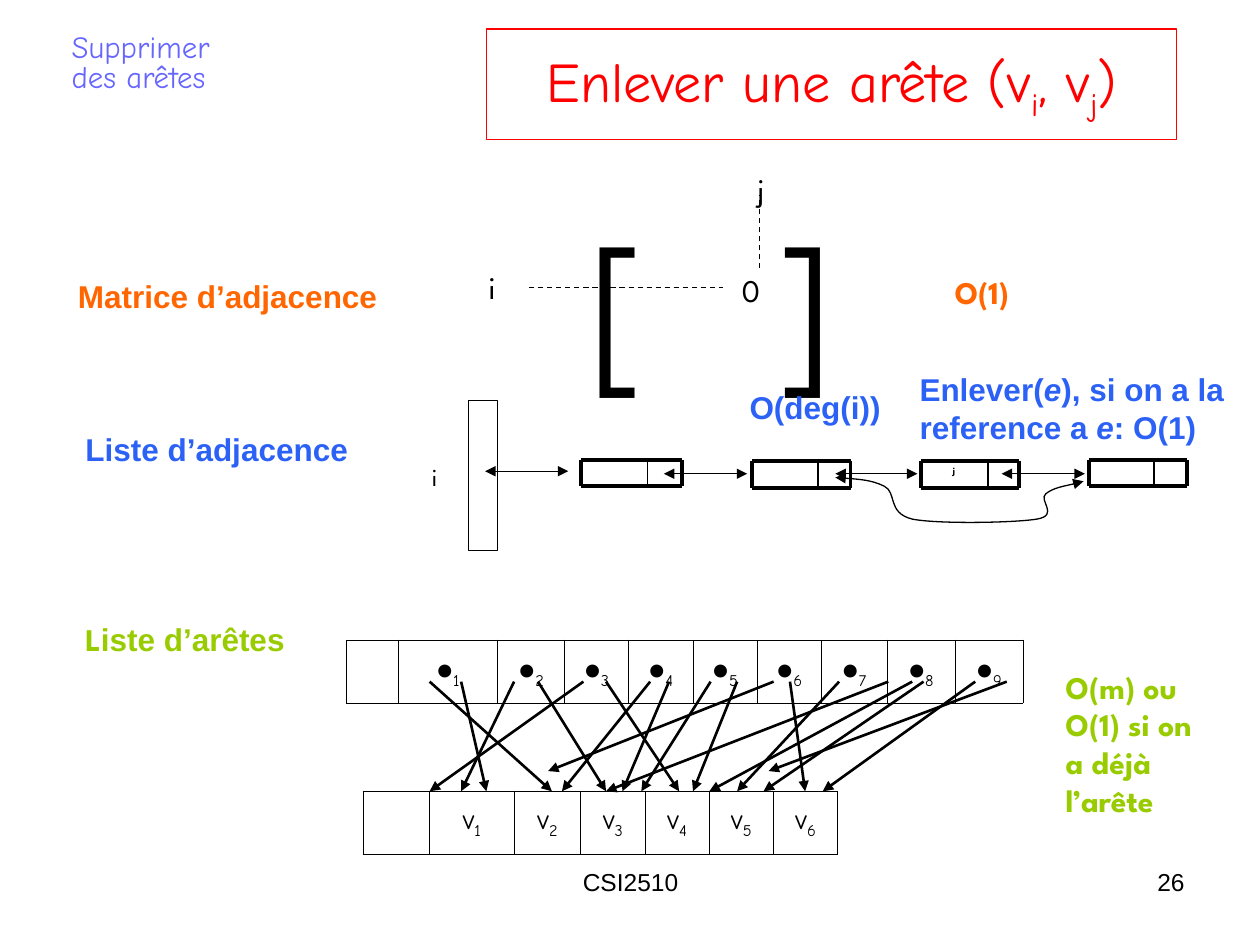
from pptx import Presentation
from pptx.dml.color import RGBColor
from pptx.enum.dml import MSO_LINE
from pptx.enum.shapes import MSO_CONNECTOR, MSO_SHAPE
from pptx.enum.text import MSO_ANCHOR, PP_ALIGN
from pptx.oxml import parse_xml
from pptx.oxml.ns import nsdecls, qn
from pptx.util import Pt

SCALE = 9144  # EMU per px, 100 px to the inch
COLORS = {
    "black": "000000", "white": "FFFFFF", "red": "FF0000", "orange": "FF6600",
    "blue": "2C61F6", "green": "99CC00", "violet": "6666FF",
}
COMIC, SPARTAN, ARIAL, CALIBRI = "Comic Neue", "League Spartan", "Arial", "Calibri"
SUBSCRIPT = {"baseline": -25}


def px(*lengths):
    return [length * SCALE for length in lengths]


def rgb(name):
    return RGBColor.from_string(COLORS[name])


def add_run(paragraph, text, name=ARIAL, size=18, color="black", baseline=0, **flags):
    run = paragraph.add_run()
    run.text = text
    for key, value in {"name": name, "size": Pt(size), **flags}.items():
        setattr(run.font, key, value)
    run.font.color.rgb = rgb(color)
    if baseline:
        run.font._element.set("baseline", str(baseline * 1000))


def write(frame, paragraphs, layout=None, **style):
    """Fill a frame; each paragraph is a list of (text, changes to the style)."""
    for index, runs in enumerate(paragraphs):
        paragraph = frame.paragraphs[0] if index == 0 else frame.add_paragraph()
        for key, value in (layout or {}).items():
            setattr(paragraph, key, value)
        for text, changes in runs:
            add_run(paragraph, text, **{**style, **changes})


def add_text(shapes, box, paragraphs, layout=None, wrap=True, **style):
    frame = shapes.add_textbox(*px(*box)).text_frame
    frame.word_wrap = wrap
    if isinstance(paragraphs, str):
        paragraphs = [[(paragraphs, {})]]
    write(frame, paragraphs, layout, **style)
    return frame


def style_line(shape, width, dash=None, ends=()):
    shape.line.color.rgb = rgb("black")
    shape.line.width = Pt(width)
    if dash:
        shape.line.dash_style = dash
    outline = shape._element.spPr.find(qn("a:ln"))
    for end in ends:
        outline.append(parse_xml(f'<a:{end} {nsdecls("a")} type="triangle"/>'))


def add_line(shapes, start, end, width, **style):
    line = shapes.add_connector(MSO_CONNECTOR.STRAIGHT, *px(*start, *end))
    style_line(line, width, **style)
    line._element.spPr.append(parse_xml(f'<a:effectLst {nsdecls("a")}/>'))


def add_node(shapes, left, top, width, divider, label=None):
    """A list node: a thick frame with a thin divider."""
    group = shapes.add_group_shape().shapes
    right, bottom = left + width, top + 21
    if label:
        frame = add_text(group, (left, top - 2, 52, 21), label,
                         {"alignment": PP_ALIGN.CENTER, "line_spacing": 0.8},
                         name=SPARTAN, size=5.5, bold=True)
        frame.vertical_anchor = MSO_ANCHOR.MIDDLE
    for y in (top, bottom):
        add_line(group, (left, y), (right, y), 2.25)
    for x, weight in ((left, 2.25), (left + divider, 1), (right, 2.25)):
        add_line(group, (x, top), (x, bottom), weight)


def add_curve(shapes, points, width, ends):
    """Bezier curve: a start point, then three points per segment."""
    builder = shapes.build_freeform(*points[0], scale=SCALE)
    builder.add_line_segments(points[1:], close=False)
    curve = builder.convert_to_shape()
    curve.shadow.inherit = False
    curve.fill.background()
    style_line(curve, width, ends=ends)
    steps = list(curve._element.iter(qn("a:lnTo")))
    for first, second, third in zip(steps[::3], steps[1::3], steps[2::3]):
        first.tag = qn("a:cubicBezTo")
        for step in (second, third):
            first.append(step[0])
            step.getparent().remove(step)


def add_array(shapes, left, top, widths, symbol, font):
    """One-row table: an empty cell, then numbered symbols."""
    table = shapes.add_table(1, len(widths), *px(left, top, sum(widths), 50)).table
    table.first_row = table.horz_banding = False
    for index, width in enumerate(widths):
        table.columns[index].width = width * SCALE
        cell = table.cell(0, index)
        cell.vertical_anchor = MSO_ANCHOR.MIDDLE
        if index:
            write(cell.text_frame, [[(symbol, {"name": font}), (str(index), SUBSCRIPT)]],
                  {"alignment": PP_ALIGN.CENTER}, name=COMIC, size=16)
        properties = cell._tc.get_or_add_tcPr()
        for side in ("lnL", "lnR", "lnT", "lnB"):
            properties.append(parse_xml(
                f'<a:{side} {nsdecls("a")} w="{Pt(0.45)}"><a:solidFill>'
                f'<a:srgbClr val="{COLORS["black"]}"/></a:solidFill></a:{side}>'))
        cell.fill.background()


def add_headings(slide):
    title = slide.shapes.title
    title.left, title.top, title.width, title.height = px(386, 23, 548, 88)
    title.line.color.rgb = rgb("red")
    title.line.width = Pt(0.75)
    title.text_frame.vertical_anchor = MSO_ANCHOR.MIDDLE
    write(title.text_frame, [[("Enlever une arête (v", {}), ("i", SUBSCRIPT), (", v", {}),
                              ("j", SUBSCRIPT), (")", {})]],
          {"alignment": PP_ALIGN.CENTER}, name=COMIC, size=32, color="red")
    add_text(slide.shapes, (47, 23, 850, 70), [[("Supprimer", {})], [("des arêtes", {})]],
             {"line_spacing": 0.8}, name=COMIC, size=17.6, color="violet")
    for box, text, side in (((342, 683, 317, 52), "CSI2510", PP_ALIGN.CENTER),
                            ((717, 683, 233, 52), "26", PP_ALIGN.RIGHT)):
        add_text(slide.shapes, box, text, {"alignment": side}, size=14)


def add_row_labels(shapes):
    frame = add_text(shapes, (52, 215, 307, 311), [
        [("Matrice d’adjacence", {"color": "orange"})],
        [("Liste d’adjacence", {"color": "blue"})],
        [("L", {"name": SPARTAN}), ("iste d’arêtes", {})],
    ], color="green", bold=True)
    for paragraph, gap in zip(frame.paragraphs[1:], (65.6, 87.3)):
        paragraph.space_before = Pt(gap)
        paragraph._p.get_or_add_pPr().set("marL", str(6 * SCALE))


def add_matrix(shapes):
    frame = add_text(shapes, (459, 150, 335, 170), "[\t]", name=SPARTAN, size=96)
    frame.paragraphs[0]._p.get_or_add_pPr().append(parse_xml(
        f'<a:tabLst {nsdecls("a")}><a:tab pos="{148 * SCALE}" algn="l"/></a:tabLst>'))
    for start, end in (((420, 228), (574, 228)), ((603, 213), (603, 155))):
        add_line(shapes, start, end, 0.75, dash=MSO_LINE.DASH)
    for left, top, width, text in ((378, 208, 42, "i"), (591, 130, 42, "j"), (579, 210, 76, "0")):
        add_text(shapes, (left, top, width, 40), text, name=SPARTAN)
    add_text(shapes, (748, 212, 120, 40), "O(1)", name=SPARTAN, color="orange", bold=True)


def add_adjacency_list(shapes):
    both = ("headEnd", "tailEnd")
    column = shapes.add_shape(MSO_SHAPE.RECTANGLE, *px(372, 318, 23, 119))
    column.shadow.inherit = False
    column.fill.solid()
    column.fill.fore_color.rgb = rgb("white")
    style_line(column, 0.75)
    add_text(shapes, (333, 362, 25, 34), "i", wrap=False, name=SPARTAN, size=14)
    for node in ((461, 365, 80, 53), (597, 366, 78, 52), (731, 366, 78, 53, "j"),
                 (864, 365, 78, 52)):
        add_node(shapes, *node)
    for left, right, y in ((385, 451, 374), (527, 593, 376), (663, 728, 376), (795, 861, 376)):
        add_line(shapes, (left, y), (right, y), 0.75, ends=both)
    add_curve(shapes, [(663, 379), (678, 380), (692, 381), (702, 386),
                       (712, 391), (704, 407), (724, 412), (744, 416), (805, 415), (823, 412),
                       (841, 409), (824, 397), (830, 392), (836, 387), (854, 384), (860, 382)],
              0.75, both)
    # Costs
    add_text(shapes, (585, 303, 128, 40), "O(deg(i))", color="blue", bold=True)
    italic = {"italic": True}
    add_text(shapes, (720, 289, 280, 70),
             [[("Enlever(", {}), ("e", italic), ("), si on a la reference a ", {}),
               ("e", italic), (": O(1)", {})]], color="blue", bold=True)


def add_edge_list(shapes):
    add_array(shapes, 275, 508, [41, 79, 53, 51, 51, 51, 51, 52, 54, 54], "●", CALIBRI)
    add_array(shapes, 288, 628, [53, 67, 53, 51, 51, 51, 51], "v", COMIC)
    # Arrows from edges to their end vertices: (start x, end x)
    arrows = [(366, 386), (427, 481), (341, 438), (408, 366), (463, 341), (481, 539),
              (516, 446), (531, 494), (564, 509), (585, 550), (614, 435), (627, 639),
              (666, 585), (705, 481), (724, 563), (733, 606), (774, 653), (799, 610)]
    short_ends = {435, 610}
    for start, end in arrows:
        bottom = 612 if end in short_ends else 628
        add_line(shapes, (start, 541), (end, bottom), 1.5, ends=["tailEnd"])
    add_text(shapes, (836, 525, 120, 160),
             [[("O(m) ou", {})], [("O(1) si on a déjà l’arête", {})]],
             name=SPARTAN, color="green", bold=True)


def main():
    presentation = Presentation()
    presentation.slide_width, presentation.slide_height = px(1000, 750)
    slide = presentation.slides.add_slide(presentation.slide_layouts[5])
    add_headings(slide)
    add_row_labels(slide.shapes)
    add_matrix(slide.shapes)
    add_adjacency_list(slide.shapes)
    add_edge_list(slide.shapes)
    presentation.save("out.pptx")


if __name__ == "__main__":
    main()
